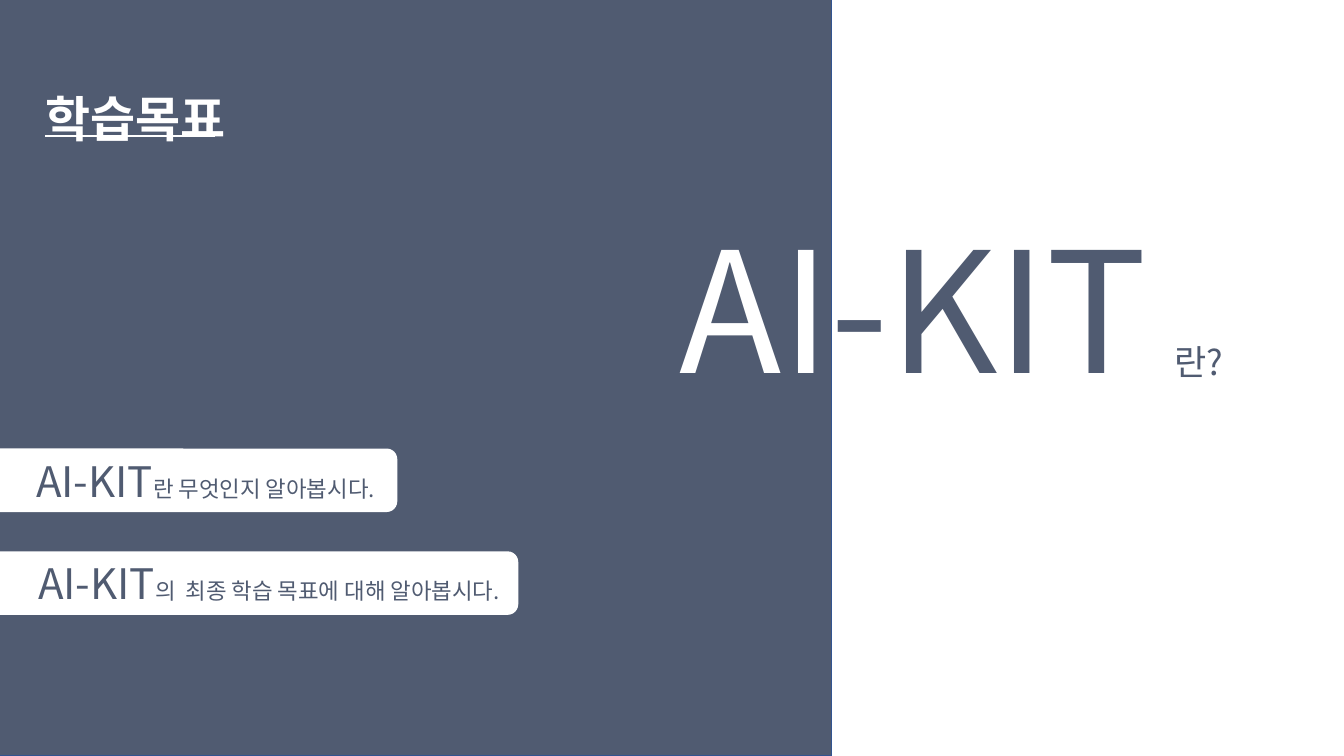
"""Build the learning-goals slide of the AI-KIT course."""
from dataclasses import dataclass

from lxml import etree
from pptx import Presentation
from pptx.dml.color import RGBColor
from pptx.enum.shapes import MSO_CONNECTOR, MSO_SHAPE
from pptx.enum.text import MSO_ANCHOR, MSO_AUTO_SIZE, PP_ALIGN
from pptx.oxml.ns import qn
from pptx.shapes.autoshape import Shape
from pptx.slide import Slide
from pptx.text.text import Font
from pptx.util import Inches, Pt

RECTANGLE = MSO_SHAPE.RECTANGLE
ROUNDED = MSO_SHAPE.ROUNDED_RECTANGLE
STRAIGHT = MSO_CONNECTOR.STRAIGHT
MIDDLE = MSO_ANCHOR.MIDDLE
BOTTOM = MSO_ANCHOR.BOTTOM
NO_AUTOFIT = MSO_AUTO_SIZE.NONE
LEFT = PP_ALIGN.LEFT

SLATE = RGBColor(0x50, 0x5B, 0x71)
OUTLINE = RGBColor(0x32, 0x54, 0x91)
WHITE = RGBColor(0xFF, 0xFF, 0xFF)
TYPEFACE = "Noto Sans CJK KR"


@dataclass(frozen=True)
class Area:
    left: float
    top: float
    width: float
    height: float


@dataclass(frozen=True)
class Span:
    text: str
    size: int
    colour: RGBColor = SLATE


@dataclass(frozen=True)
class Goal:
    bar: Area
    text: Area
    wording: str


GOALS = (
    Goal(Area(-0.21, 4.45, 4.15, 0.63), Area(0.26, 4.46, 4.5, 0.61),
         "란 무엇인지 알아봅시다."),
    Goal(Area(-0.21, 5.47, 5.35, 0.63), Area(0.28, 5.48, 5.67, 0.61),
         "의  최종 학습 목표에 대해 알아봅시다."),
)


def place(box: Shape, area: Area) -> None:
    """Move and size a box."""
    box.left, box.top = Inches(area.left), Inches(area.top)
    box.width, box.height = Inches(area.width), Inches(area.height)


def style(font: Font, span: Span) -> None:
    """Give a font the size and colour of a span."""
    font.size = Pt(span.size)
    font.color.rgb = span.colour


def write(box: Shape, spans: tuple[Span, ...], anchor: MSO_ANCHOR = MIDDLE,
          wrap: bool = True, line_spacing: float = 1.0, bold: bool = False) -> None:
    """Fill a box with one left-aligned paragraph."""
    frame = box.text_frame
    frame.word_wrap = wrap
    frame.auto_size = NO_AUTOFIT
    frame.vertical_anchor = anchor
    para = frame.paragraphs[0]
    para.alignment = LEFT
    para.line_spacing = line_spacing
    para.font.name = TYPEFACE
    para.font.bold = bold
    style(para.font, spans[0])
    defaults = para._p.pPr.find(qn("a:defRPr"))
    etree.SubElement(defaults, qn("a:ea")).set("typeface", TYPEFACE)
    for span in spans:
        run = para.add_run()
        run.text = span.text
        if span != spans[0]:
            style(run.font, span)


def add_text(page: Slide, area: Area, spans: tuple[Span, ...],
             wrap: bool = True, line_spacing: float = 1.0) -> None:
    """Add a text box."""
    box = page.shapes.add_textbox(0, 0, 0, 0)
    place(box, area)
    write(box, spans, wrap=wrap, line_spacing=line_spacing)


def add_block(page: Slide, kind: MSO_SHAPE, area: Area, colour: RGBColor) -> Shape:
    """Add a filled shape without outline or shadow."""
    block = page.shapes.add_shape(kind, 0, 0, 0, 0)
    place(block, area)
    block.shadow.inherit = False
    block.fill.solid()
    block.fill.fore_color.rgb = colour
    block.line.fill.background()
    return block


def add_title(page: Slide) -> None:
    """Set the title and rule it off."""
    title = page.shapes.title
    place(title, Area(0.35, 0.23, 2.77, 1.28))
    write(title, (Span("학습목표", 35, WHITE),), BOTTOM, line_spacing=2.0, bold=True)
    rule = page.shapes.add_connector(
        STRAIGHT, Inches(0.45), Inches(1.35), Inches(2.13), Inches(1.35))
    rule.line.color.rgb = WHITE
    rule.line.width = Pt(2)
    etree.SubElement(rule.element.spPr, qn("a:effectLst"))


def main() -> None:
    """Build and save the deck."""
    deck = Presentation()
    deck.slide_width, deck.slide_height = Inches(13.33), Inches(7.5)
    page = deck.slides.add_slide(deck.slide_layouts.get_by_name("Title Only"))

    panel = add_block(page, RECTANGLE, Area(-0.1, -0.11, 8.35, 7.61), SLATE)
    panel.line.color.rgb = OUTLINE
    panel.line.width = Pt(1)
    page.shapes.title.element.addprevious(panel.element)

    add_title(page)
    add_text(page, Area(6.64, 2.34, 5.24, 1.66),
             (Span("AI", 120, WHITE), Span("-KIT", 120)), line_spacing=0.9)
    add_text(page, Area(11.55, 3.33, 0.66, 0.52), (Span("란?", 25),), wrap=False)
    for goal in GOALS:
        add_block(page, ROUNDED, goal.bar, WHITE)
        add_text(page, goal.text, (Span("AI-KIT", 30), Span(goal.wording, 16)))
    deck.save("out.pptx")


if __name__ == "__main__":
    main()
